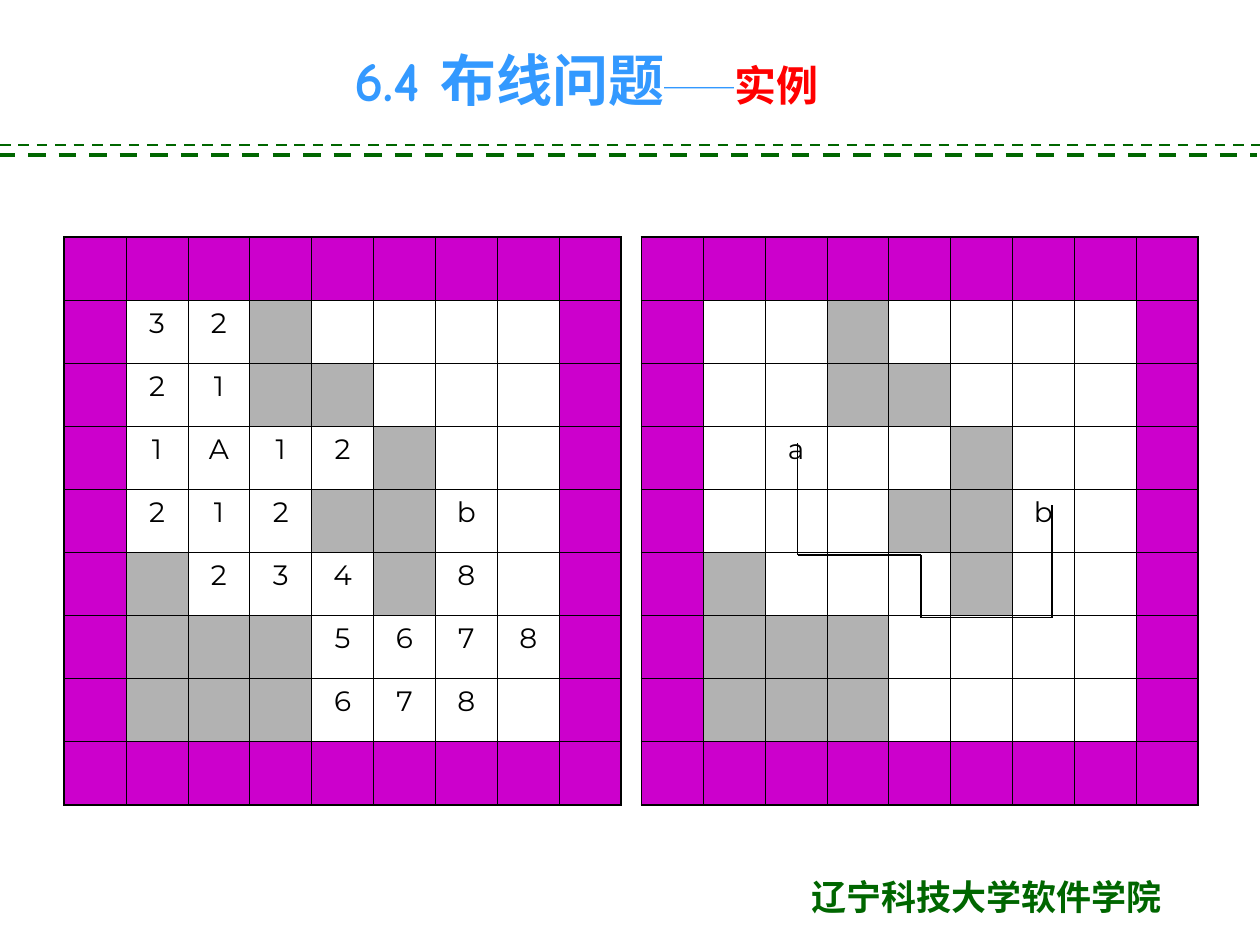
from dataclasses import dataclass

import pptx
import pptx.dml.color
import pptx.enum.dml
import pptx.enum.shapes
import pptx.enum.text
import pptx.oxml.ns
import pptx.util
from lxml import etree

COLORS = {
    "wall": "CC00CC", "blocked": "B2B2B2", "free": "FFFFFF", "ink": "000000",
    "green": "006600", "title": "3399FF", "accent": "FF0000",
}
WIDTH, HEIGHT = pptx.util.Inches(10), pptx.util.Inches(7.5)

# Lengths are percentages of the slide; boards are grids of equal cells
COLUMN, ROW = 4.91, 6.68
BOARD_TOP = 25.07
INNER_LINE, OUTER_LINE = 0.45, 1.08


@dataclass(frozen=True)
class Board:
    left: float
    rows: tuple[str, ...]  # "#" wall, "x" blocked, "." free, otherwise a label


@dataclass(frozen=True)
class Run:
    text: str
    size: float
    font: str
    color: str
    bold: bool = False


DISTANCES = Board(5.1, (
    "#########",
    "#32x....#",
    "#21xx...#",
    "#1A12x..#",
    "#212xxb.#",
    "#x234x8.#",
    "#xxx5678#",
    "#xxx678.#",
    "#########",
))
ROUTE = Board(50.9, (
    "#########",
    "#..x....#",
    "#..xx...#",
    "#.a..x..#",
    "#...xxb.#",
    "#x...x..#",
    "#xxx....#",
    "#xxx....#",
    "#########",
))
# Corners of the route from a to b, in columns and rows of its board
ROUTE_CORNERS = ((2.53, 3.27), (2.53, 5.04), (4.52, 5.04),
                 (4.52, 6.03), (6.64, 6.03), (6.64, 4.25))


def across(percent: float) -> int:
    return round(WIDTH * percent / 100)


def down(percent: float) -> int:
    return round(HEIGHT * percent / 100)


def rgb(name: str) -> pptx.dml.color.RGBColor:
    return pptx.dml.color.RGBColor.from_string(COLORS[name])


def write(frame, *runs: Run, align=pptx.enum.text.PP_ALIGN.LEFT) -> None:
    paragraph = frame.paragraphs[0]
    paragraph.alignment = align
    for item in runs:
        run = paragraph.add_run()
        run.text = item.text
        run.font.size = pptx.util.Pt(item.size)
        run.font.name = item.font
        run.font.bold = item.bold
        run.font.color.rgb = rgb(item.color)


def add_text(slide, left: float, top: float, width: float, height: float,
             *runs: Run, align=pptx.enum.text.PP_ALIGN.LEFT,
             anchor=pptx.enum.text.MSO_ANCHOR.TOP) -> None:
    frame = slide.shapes.add_textbox(
        across(left), down(top), across(width), down(height)).text_frame
    frame.word_wrap = True
    frame.vertical_anchor = anchor
    write(frame, *runs, align=align)


def add_line(slide, start: tuple[float, float], end: tuple[float, float],
             color: str, weight: float, dashed: bool = False) -> None:
    line = slide.shapes.add_connector(
        pptx.enum.shapes.MSO_CONNECTOR.STRAIGHT,
        across(start[0]), down(start[1]), across(end[0]), down(end[1]))
    line.line.color.rgb = rgb(color)
    line.line.width = pptx.util.Pt(weight)
    if dashed:
        line.line.dash_style = pptx.enum.dml.MSO_LINE.DASH
    etree.SubElement(line._element.spPr, pptx.oxml.ns.qn("a:effectLst"))


def add_borders(cell, outer_sides: dict[str, bool]) -> None:
    properties = cell._tc.get_or_add_tcPr()
    for side, outer in outer_sides.items():
        weight = pptx.util.Pt(OUTER_LINE if outer else INNER_LINE)
        border = etree.SubElement(
            properties, pptx.oxml.ns.qn(f"a:ln{side}"), w=str(weight))
        fill = etree.SubElement(border, pptx.oxml.ns.qn("a:solidFill"))
        etree.SubElement(fill, pptx.oxml.ns.qn("a:srgbClr"), val=COLORS["ink"])


def add_board(slide, board: Board) -> None:
    count = len(board.rows)
    table = slide.shapes.add_table(
        count, count, across(board.left), down(BOARD_TOP),
        across(COLUMN * count), down(ROW * count)).table
    table.first_row = table.horz_banding = False
    for column in table.columns:
        column.width = across(COLUMN)
    for row in table.rows:
        row.height = down(ROW)

    kinds = {"#": "wall", "x": "blocked", ".": "free"}
    last = count - 1
    for r, marks in enumerate(board.rows):
        for c, mark in enumerate(marks):
            cell = table.cell(r, c)
            add_borders(cell, {"L": c == 0, "R": c == last,
                               "T": r == 0, "B": r == last})
            cell.fill.solid()
            cell.fill.fore_color.rgb = rgb(kinds.get(mark, "free"))
            if mark not in kinds:
                write(cell.text_frame, Run(mark, 16, "Montserrat", "ink"),
                      align=pptx.enum.text.PP_ALIGN.CENTER)


def add_route(slide, board: Board, corners: tuple[tuple[float, float], ...]) -> None:
    points = [(board.left + c * COLUMN, BOARD_TOP + r * ROW) for c, r in corners]
    for start, end in zip(points, points[1:]):
        add_line(slide, start, end, "ink", 0.75)


def main() -> None:
    deck = pptx.Presentation()
    deck.slide_width, deck.slide_height = WIDTH, HEIGHT
    slide = deck.slides.add_slide(deck.slide_layouts[6])

    # Footer and the dashed rules under the title
    add_text(slide, 63.4, 92, 35.4, 5.87,
             Run("辽宁科技大学软件学院", 20, "Times New Roman", "green", bold=True))
    add_line(slide, (0, 15.33), (100, 15.33), "green", 1.5, dashed=True)
    add_line(slide, (-0.2, 16.4), (99.8, 16.4), "green", 2.5, dashed=True)

    # Distance labels on the left, resulting route on the right
    for board in (DISTANCES, ROUTE):
        add_board(slide, board)
    add_route(slide, ROUTE, ROUTE_CORNERS)

    # Title
    add_text(slide, 14.1, 3.47, 64.9, 9.87,
             Run("6.4 布线问题", 32, "Comic Neue", "title", bold=True),
             Run("──", 20, "Arial", "title", bold=True),
             Run("实例", 24, "Comic Neue", "accent", bold=True),
             align=pptx.enum.text.PP_ALIGN.CENTER,
             anchor=pptx.enum.text.MSO_ANCHOR.MIDDLE)

    deck.save("out.pptx")


if __name__ == "__main__":
    main()
